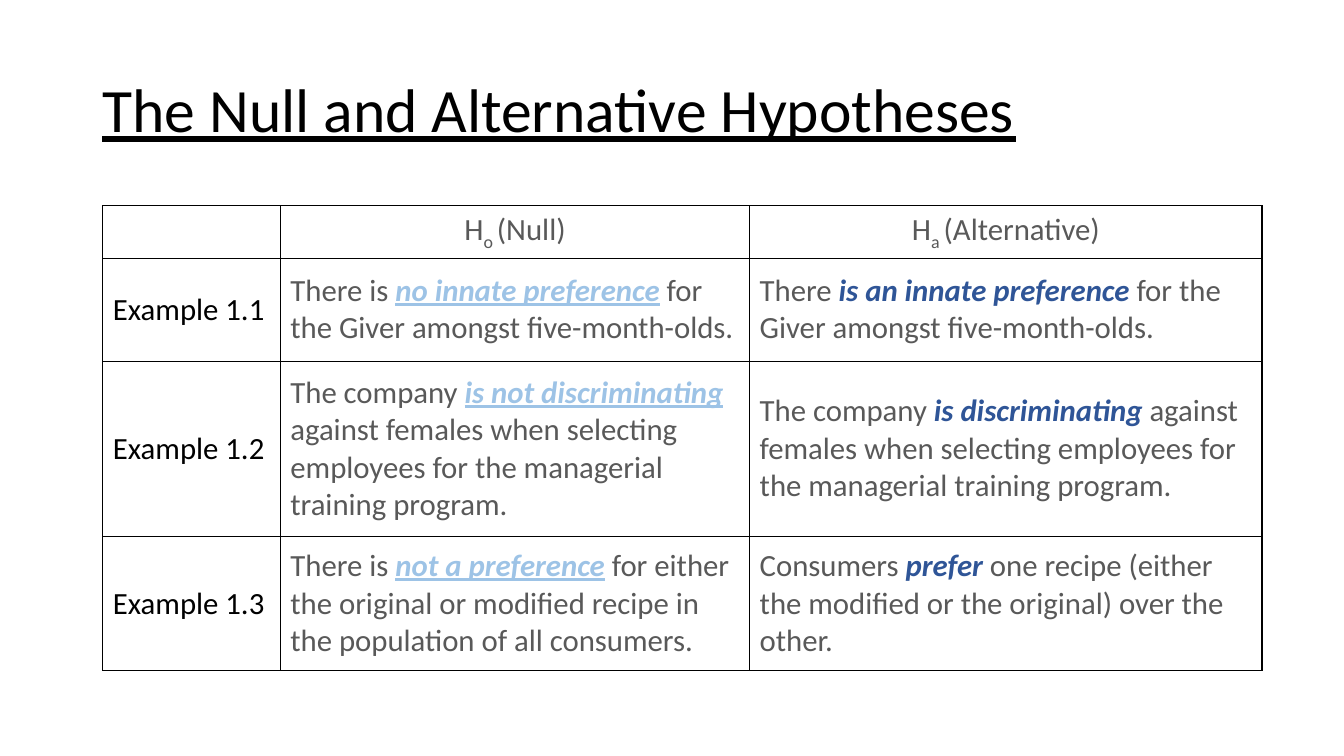
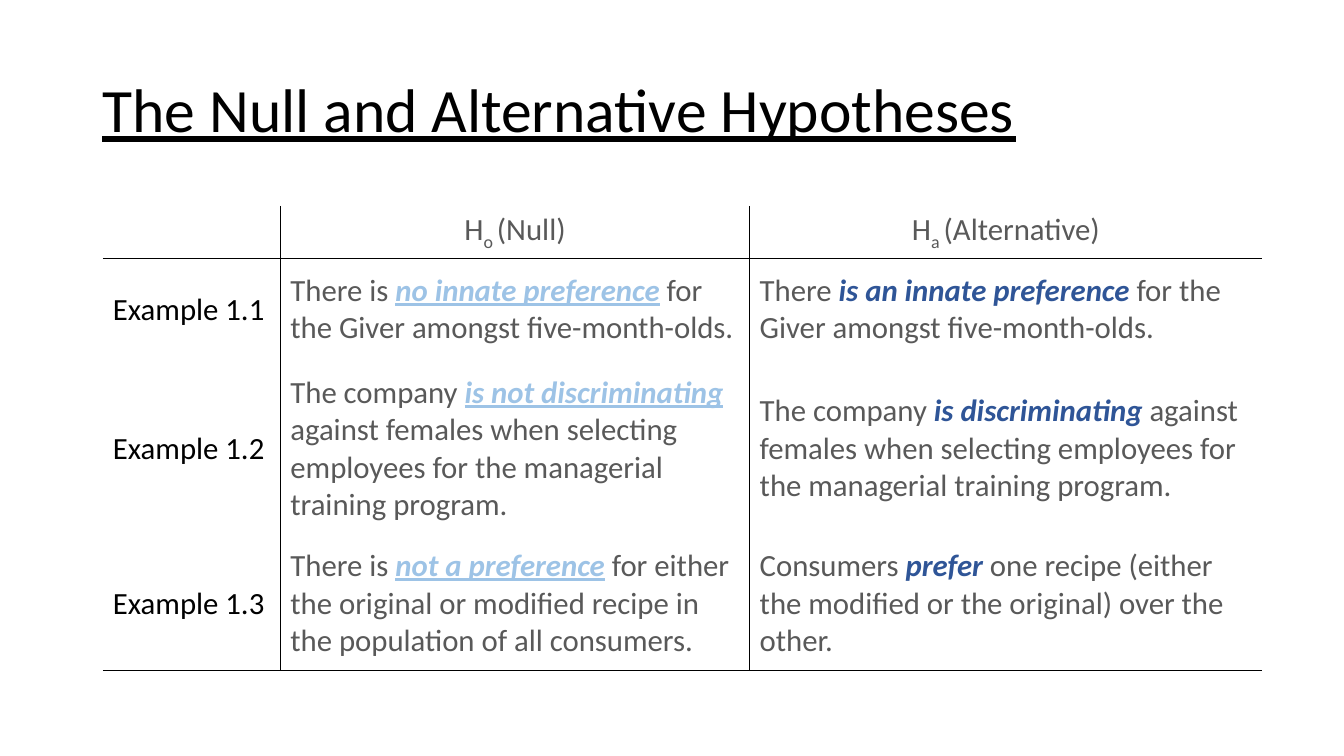
"""Build two slides that set out null and alternative hypotheses in a table."""
from dataclasses import dataclass

from lxml.etree import SubElement
from pptx import Presentation
from pptx.dml.color import RGBColor
from pptx.enum.text import MSO_ANCHOR, PP_ALIGN
from pptx.oxml.ns import qn
from pptx.util import Pt

PX = 9525


@dataclass(frozen=True)
class Theme:
    font: str = "Calibri"
    ink: str = "000000"
    body: str = "595959"
    null: str = "9DC3E6"
    alternative: str = "2F5597"
    title_size: int = 44
    table_size: int = 22
    border_width: int = 1


TITLE = "The Null and Alternative Hypotheses"
COLUMNS = (169, 447, 488)
ROWS = (50, 98, 167, 128)
CELLS = (
    (
        (),
        (("H", "body"), ("o ", "subscript"), ("(Null)", "body")),
        (("H", "body"), ("a ", "subscript"), ("(Alternative)", "body")),
    ),
    (
        (("Example 1.1", "ink"),),
        (("There is ", "body"), ("no innate preference", "null"),
         (" for the Giver amongst five-month-olds.", "body")),
        (("There ", "body"), ("is an innate preference", "alternative"),
         (" for the Giver amongst five-month-olds.", "body")),
    ),
    (
        (("Example 1.2", "ink"),),
        (("The company ", "body"), ("is not discriminating", "null"),
         (" against females when selecting employees for the managerial training program.", "body")),
        (("The company ", "body"), ("is discriminating", "alternative"),
         (" against females when selecting employees for the managerial training program.", "body")),
    ),
    (
        (("Example 1.3", "ink"),),
        (("There is ", "body"), ("not a preference", "null"),
         (" for either the original or modified recipe in the population of all consumers.", "body")),
        (("Consumers ", "body"), ("prefer", "alternative"),
         (" one recipe (either the modified or the original) over the other.", "body")),
    ),
)
FULL_GRID = (range(len(ROWS) + 1), range(len(COLUMNS) + 1))
OPEN_GRID = ((1, len(ROWS)), (1, 2))


class Deck:
    def __init__(self, theme):
        self.theme = theme
        self.presentation = Presentation()
        self.presentation.slide_width = 1280 * PX
        self.presentation.slide_height = 720 * PX
        self.page = None

    def add_page(self, title):
        self.page = self.presentation.slides.add_slide(self.presentation.slide_layouts[5])
        box = self.page.shapes.title
        box.left, box.top, box.width, box.height = 88 * PX, 38 * PX, 1104 * PX, 139 * PX
        box.text_frame.text = title
        box.text_frame.vertical_anchor = MSO_ANCHOR.MIDDLE
        para = box.text_frame.paragraphs[0]
        para.alignment = PP_ALIGN.LEFT
        para.line_spacing = 0.9
        self.format_span(para.runs[0], self.theme.title_size, self.theme.ink)
        para.runs[0].font.underline = True

    def format_span(self, span, size, color):
        span.font.name = self.theme.font
        span.font.size = Pt(size)
        span.font.color.rgb = RGBColor.from_string(color)

    def add_span(self, para, text, role):
        span = para.add_run()
        span.text = text
        color = getattr(self.theme, role, self.theme.body)
        self.format_span(span, self.theme.table_size, color)
        if role in ("null", "alternative"):
            span.font.bold = span.font.italic = True
        if role == "null":
            span.font.underline = True
        if role == "subscript":
            span.font._element.set("baseline", "-25000")

    def draw_borders(self, cell, sides):
        properties = cell._tc.get_or_add_tcPr()
        for index, (tag, visible) in enumerate(sides.items()):
            line = SubElement(properties, qn(f"a:{tag}"), w=str(Pt(self.theme.border_width)))
            properties.insert(index, line)
            if visible:
                fill = SubElement(line, qn("a:solidFill"))
                SubElement(fill, qn("a:srgbClr"), val=self.theme.ink)
            else:
                SubElement(line, qn("a:noFill"))

    def add_table(self, left, top, cells, grid):
        horizontals, verticals = grid
        table = self.page.shapes.add_table(
            len(ROWS), len(COLUMNS), left * PX, top * PX, sum(COLUMNS) * PX, sum(ROWS) * PX
        ).table
        table.first_row = table.horz_banding = False
        for column, width in zip(table.columns, COLUMNS):
            column.width = width * PX
        for row_index, (height, row) in enumerate(zip(ROWS, cells)):
            table.rows[row_index].height = height * PX
            for column_index, spans in enumerate(row):
                cell = table.cell(row_index, column_index)
                cell.fill.background()
                cell.vertical_anchor = MSO_ANCHOR.MIDDLE
                para = cell.text_frame.paragraphs[0]
                para.alignment = PP_ALIGN.LEFT if row_index else PP_ALIGN.CENTER
                for text, role in spans:
                    self.add_span(para, text, role)
                self.draw_borders(cell, {
                    "lnL": column_index in verticals,
                    "lnR": column_index + 1 in verticals,
                    "lnT": row_index in horizontals,
                    "lnB": row_index + 1 in horizontals,
                })


def main():
    deck = Deck(Theme())
    for grid in (FULL_GRID, OPEN_GRID):
        deck.add_page(TITLE)
        deck.add_table(98, 196, CELLS, grid)
    deck.presentation.save("out.pptx")


if __name__ == "__main__":
    main()
